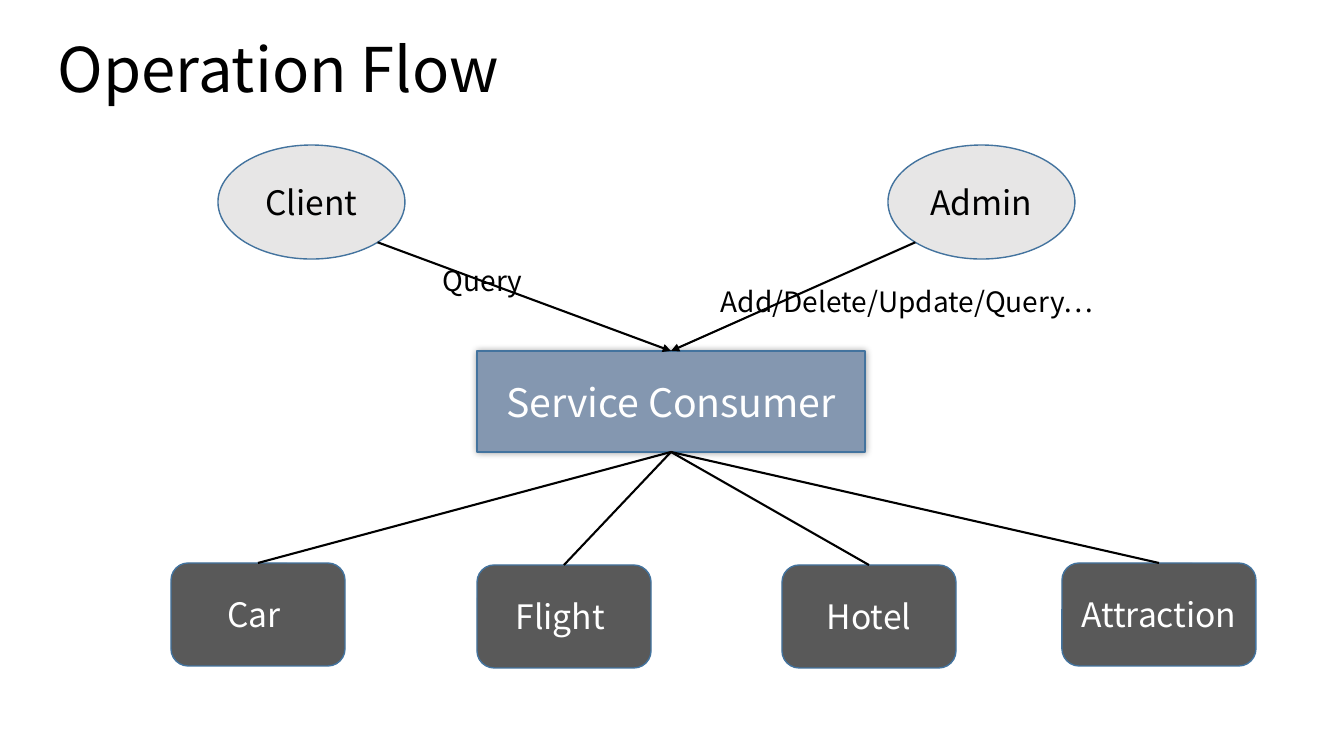
import math

from lxml import etree
from pptx import Presentation
from pptx import util as u
from pptx.dml.color import RGBColor
from pptx.enum import shapes, text
from pptx.oxml import ns

COLOURS = {
    "black": "000000",
    "white": "FFFFFF",
    "actor": "E7E6E6",
    "consumer": "8497B0",
    "service": "595959",
    "outline": "43739E",
}
FONT = "Noto Sans CJK SC"
EMU_PER_PX = 914400 / 100.8
TOP, BOTTOM = 0, 2


def px(length):
    return u.Emu(round(length * EMU_PER_PX))


def colour(name):
    return RGBColor.from_string(COLOURS[name])


def add_xml(parent, tag, **attributes):
    return etree.SubElement(parent, ns.qn(tag), attributes)


class FlowSlide:
    """Holds the current slide and draws its elements in one style."""

    def __init__(self, deck):
        self.slide = deck.slides.add_slide(deck.slide_layouts[6])

    def set_wording(self, shape, wording, size, ink, align=None):
        frame = shape.text_frame
        frame.text = wording
        frame.word_wrap = True
        paragraph = frame.paragraphs[0]
        paragraph.alignment = align
        for run in paragraph.runs:
            run.font.size = u.Pt(size)
            run.font.name = FONT
            run.font.color.rgb = colour(ink)
        return frame

    def label(self, wording, box, size):
        shape = self.slide.shapes.add_textbox(*map(px, box))
        return self.set_wording(shape, wording, size, "black")

    def title(self, wording, box):
        frame = self.label(wording, box, 44)
        frame.vertical_anchor = text.MSO_ANCHOR.MIDDLE
        frame.paragraphs[0].line_spacing = 0.9

    def node(self, kind, wording, box, fill, ink, size=24):
        shape = self.slide.shapes.add_shape(kind, *map(px, box))
        shape.shadow.inherit = False
        shape.fill.solid()
        shape.fill.fore_color.rgb = colour(fill)
        shape.line.color.rgb = colour("outline")
        shape.line.width = u.Pt(1)
        frame = self.set_wording(shape, wording, size, ink, text.PP_ALIGN.CENTER)
        frame.vertical_anchor = text.MSO_ANCHOR.MIDDLE
        return shape

    def glow(self, shape):
        effects = shape._element.spPr.find(ns.qn("a:effectLst"))
        shadow = add_xml(effects, "a:outerShdw", blurRad=str(int(u.Pt(5))), dist="0",
                         dir="0", algn="ctr", rotWithShape="0")
        tint = add_xml(shadow, "a:srgbClr", val=COLOURS["black"])
        add_xml(tint, "a:alpha", val="40000")

    def link(self, start=(0, 0), arrow=False):
        line = self.slide.shapes.add_connector(
            shapes.MSO_CONNECTOR.STRAIGHT, *map(px, start), *map(px, start))
        line.line.color.rgb = colour("black")
        line.line.width = u.Pt(1.5)
        if arrow:
            outline = line._element.spPr.find(ns.qn("a:ln"))
            add_xml(outline, "a:tailEnd", type="triangle")
        add_xml(line._element.spPr, "a:effectLst")
        return line


def main():
    deck = Presentation()
    deck.slide_width, deck.slide_height = px(1344), px(756)
    flow = FlowSlide(deck)
    flow.title("Operation Flow", (48, 0, 1159, 146))

    # Service consumer in the middle
    consumer = flow.node(shapes.MSO_SHAPE.RECTANGLE, "Service Consumer",
                         (477, 351, 388, 101), "consumer", "white", 28)
    flow.glow(consumer)

    # Actors, their calls and arrows from the lower diagonal point of each oval
    actor_top, actor_width, actor_height = 145, 187, 114
    diagonal = math.sqrt(0.5)
    actors = [
        ("Client", 218, 1, "Query", (433, 259, 129, 44)),
        ("Admin", 888, -1, "Add/Delete/Update/Query…", (711, 280, 409, 44)),
    ]
    for actor, left, side, call, call_box in actors:
        flow.node(shapes.MSO_SHAPE.OVAL, actor,
                  (left, actor_top, actor_width, actor_height), "actor", "black")
        start = (left + actor_width / 2 * (1 + side * diagonal),
                 actor_top + actor_height / 2 * (1 + diagonal))
        flow.link(start, arrow=True).end_connect(consumer, TOP)
        frame = flow.label(call, call_box, 20)
        frame.auto_size = text.MSO_AUTO_SIZE.SHAPE_TO_FIT_TEXT

    # Services below, each joined to the consumer
    services = [
        ("Car ", 171, 563, 174),
        ("Flight ", 477, 565, 174),
        ("Hotel", 782, 565, 174),
        ("Attraction", 1062, 563, 194),
    ]
    for name, left, top, width in services:
        service = flow.node(shapes.MSO_SHAPE.ROUNDED_RECTANGLE, name,
                            (left, top, width, 103), "service", "white")
        branch = flow.link()
        branch.begin_connect(consumer, BOTTOM)
        branch.end_connect(service, TOP)

    deck.save("out.pptx")


if __name__ == "__main__":
    main()
